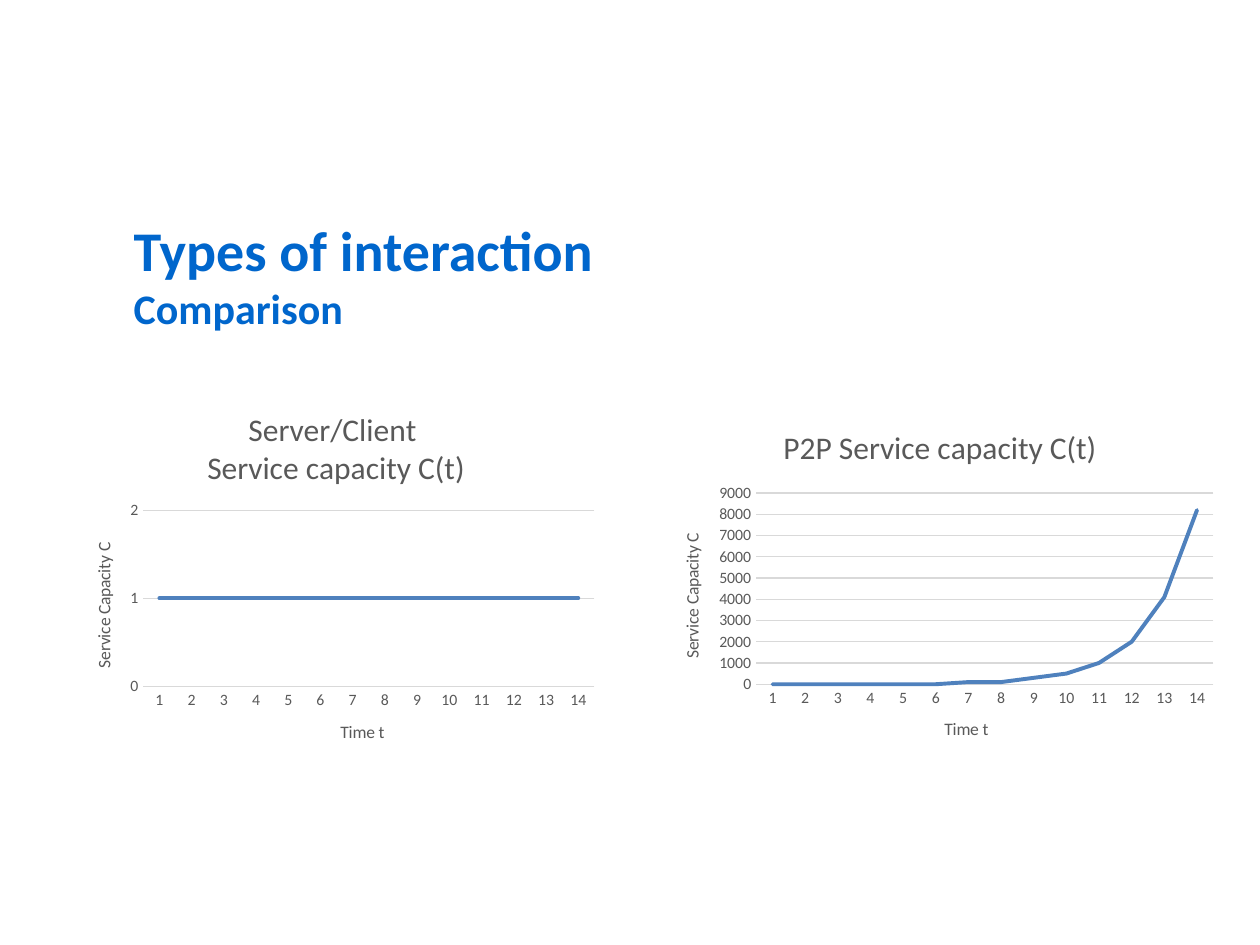
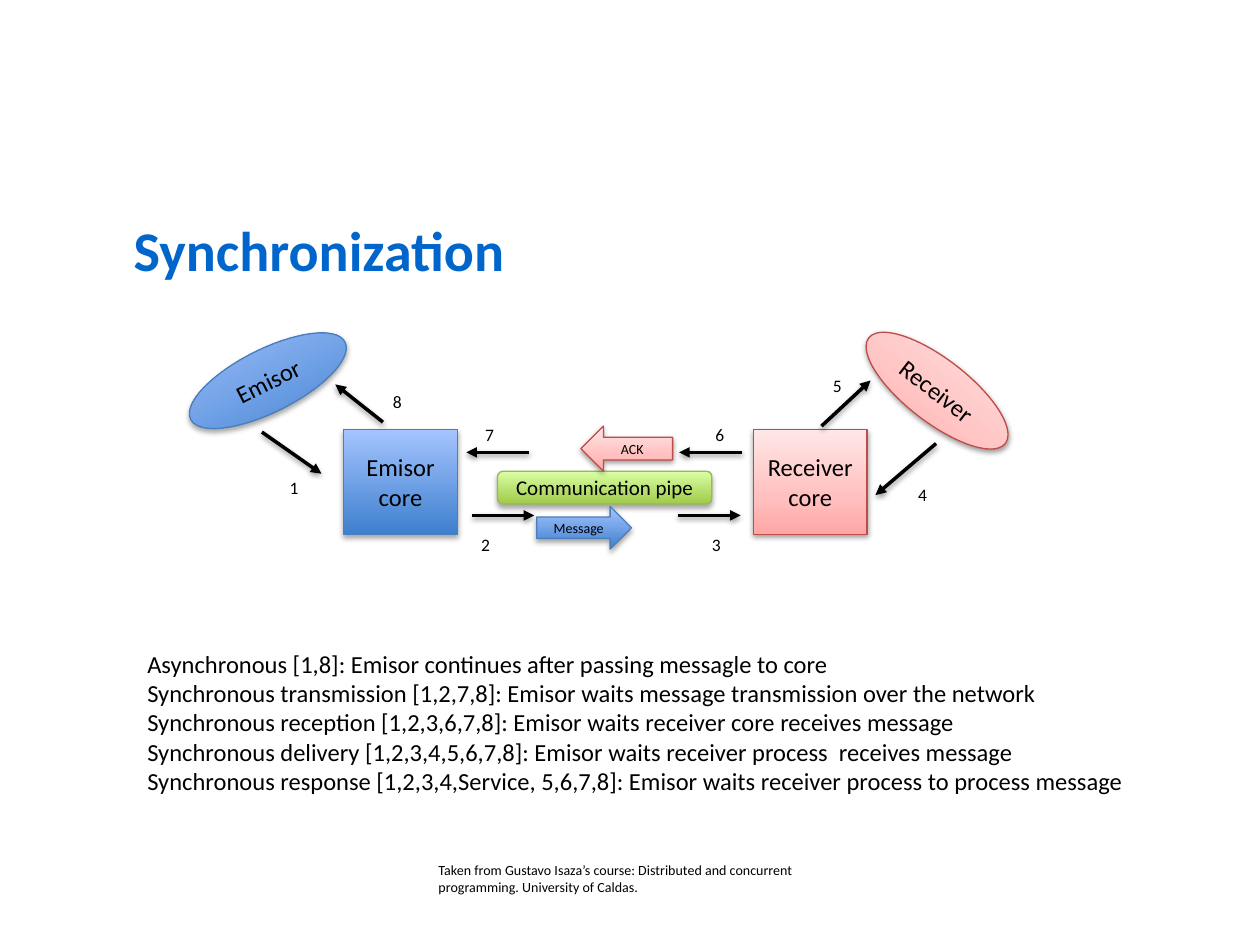
import lxml.etree as etree
import pptx
import pptx.chart.data
import pptx.dml.color
import pptx.enum.chart
import pptx.enum.shapes
import pptx.enum.text
import pptx.oxml.ns
import pptx.util

RGB = pptx.dml.color.RGBColor
Pt = pptx.util.Pt
Cm = pptx.util.Cm
qn = pptx.oxml.ns.qn
SHAPE = pptx.enum.shapes.MSO_SHAPE
ALIGN = pptx.enum.text.PP_ALIGN
ANCHOR = pptx.enum.text.MSO_ANCHOR
GROW = pptx.enum.text.MSO_AUTO_SIZE.SHAPE_TO_FIT_TEXT
NO_TICK = pptx.enum.chart.XL_TICK_MARK.NONE

# Shared look
FONT = "Calibri"
BLACK = RGB(0x00, 0x00, 0x00)
TITLE = RGB(0x00, 0x66, 0xCC)
GREY = RGB(0x59, 0x59, 0x59)
GRID = RGB(0xD9, 0xD9, 0xD9)
CURVE = RGB(0x4F, 0x81, 0xBD)

# Fill stops (percent, colour) from bottom to top, outline, (shadow opacity, distance)
SOFT = (35, 1.8)
HARD = (38, 1.6)
BLUE = ([(0, RGB(0x3F, 0x80, 0xCE)), (100, RGB(0xA4, 0xC4, 0xFF))],
        RGB(0x4B, 0x7E, 0xBC), SOFT)
GREEN = ([(0, RGB(0xA0, 0xCA, 0x4A)), (100, RGB(0xDA, 0xFF, 0xA5))],
         RGB(0x98, 0xB9, 0x55), SOFT)
RED = ([(0, RGB(0xFF, 0xA6, 0xA5)), (35, RGB(0xFF, 0xC0, 0xBF)),
        (100, RGB(0xFF, 0xE7, 0xE7))], RGB(0xBF, 0x4C, 0x48), HARD)

# Capacity at times 1 to 14
P2P = [0] * 6 + [100, 100, 300, 500, 1000, 2000, 4100, 8200]
SERVER = [1] * 14

MODES = [
    "Asynchronous [1,8]: Emisor continues after passing messagle to core",
    "Synchronous transmission [1,2,7,8]: Emisor waits message transmission over the network",
    "Synchronous reception [1,2,3,6,7,8]: Emisor waits receiver core receives message",
    "Synchronous delivery [1,2,3,4,5,6,7,8]: Emisor waits receiver process  receives message",
    "Synchronous response [1,2,3,4,Service, 5,6,7,8]: Emisor waits receiver process to process message",
]
SOURCE = ("Taken from Gustavo Isaza’s course: Distributed and concurrent "
          "programming. University of Caldas.")

# Steps in order: arrow start, arrow end, corner of the number
STEPS = [
    ((5.28, 8.71), (6.48, 9.55), (5.59, 9.5)),
    ((9.52, 10.39), (10.77, 10.39), (9.45, 10.64)),
    ((13.67, 10.39), (14.93, 10.39), (14.1, 10.64)),
    ((18.87, 8.94), (17.65, 9.98), (18.26, 9.63)),
    ((16.56, 8.59), (17.55, 7.67), (16.54, 7.44)),
    ((14.96, 9.12), (13.69, 9.12), (14.17, 8.43)),
    ((10.67, 9.12), (9.4, 9.12), (9.53, 8.43)),
    ((7.72, 8.51), (6.76, 7.75), (7.67, 7.75)),
]


def cms(*sizes):
    return [Cm(size) for size in sizes]


def write(frame, lines, size, color=BLACK, bold=False, align=None):
    """Write one paragraph per line, starting in the empty first one."""
    for i, line in enumerate(lines):
        par = frame.add_paragraph() if i else frame.paragraphs[0]
        par.alignment = align
        run = par.add_run()
        run.text = line
        font = run.font
        font.name, font.size, font.bold = FONT, Pt(size), bold
        font.color.rgb = color


def tag(parent, name, **attrs):
    return etree.SubElement(parent, qn(name), attrs)


def shade(item, shadow):
    """Drop a shadow straight down; the outline must be set before."""
    alpha, dist = shadow
    drop = tag(tag(item._element.spPr, "a:effectLst"), "a:outerShdw",
               blurRad=str(Pt(3.1)), dist=str(Pt(dist)), dir="5400000",
               rotWithShape="0")
    tag(tag(drop, "a:srgbClr", val="000000"), "a:alpha", val=str(alpha * 1000))


def head(deck, *lines):
    """Add a slide whose title may carry a smaller second line."""
    slide = deck.slides.add_slide(deck.slide_layouts[5])
    title = slide.shapes.title
    height = 2.64 if len(lines) > 1 else 1.63
    title.left, title.top, title.width, title.height = cms(2.44, 4.22, 21.03, height)
    frame = title.text_frame
    frame.vertical_anchor, frame.auto_size = ANCHOR.TOP, GROW
    write(frame, lines, 32, TITLE, True, ALIGN.LEFT)
    for par in frame.paragraphs[1:]:
        par.runs[0].font.size = Pt(24)
    return slide


def note(slide, box, lines, size):
    frame = slide.shapes.add_textbox(*cms(*box)).text_frame
    frame.word_wrap, frame.auto_size = True, GROW
    write(frame, lines, size)


def block(slide, kind, box, text, size, look, turn=0):
    stops, edge, shadow = look
    shape = slide.shapes.add_shape(kind, *cms(*box))
    shape.rotation = turn
    shape.fill.gradient()
    shape.fill.gradient_angle = 90
    ramp = shape._element.spPr.find(".//" + qn("a:gsLst"))
    for stop in list(ramp):
        ramp.remove(stop)
    for place, color in stops:
        tag(tag(ramp, "a:gs", pos=str(place * 1000)), "a:srgbClr", val=str(color))
    shape.line.color.rgb, shape.line.width = edge, Pt(0.75)
    shade(shape, shadow)
    frame = shape.text_frame
    frame.word_wrap, frame.vertical_anchor = True, ANCHOR.MIDDLE
    write(frame, [text], size, align=ALIGN.CENTER)


def arrow(slide, start, end):
    line = slide.shapes.add_connector(
        pptx.enum.shapes.MSO_CONNECTOR.STRAIGHT, *cms(*start, *end))
    line.line.color.rgb, line.line.width = BLACK, Pt(2)
    tag(line.line._get_or_add_ln(), "a:tailEnd", type="triangle")
    shade(line, HARD)


def label(axis, text):
    axis.has_title = True
    write(axis.axis_title.text_frame, [text], 10, GREY)
    axis.major_tick_mark = axis.minor_tick_mark = NO_TICK
    font = axis.tick_labels.font
    font.name, font.size, font.color.rgb = FONT, Pt(9), GREY


def plot(slide, box, title, values):
    data = pptx.chart.data.CategoryChartData()
    data.categories = [str(time) for time in range(1, len(values) + 1)]
    data.add_series("Series 1", values)
    chart = slide.shapes.add_chart(
        pptx.enum.chart.XL_CHART_TYPE.LINE, *cms(*box), data).chart
    chart.has_legend = False
    chart.font.name, chart.font.size, chart.font.color.rgb = FONT, Pt(10), BLACK
    chart.has_title = True
    write(chart.chart_title.text_frame, title, 18, GREY)

    # Axes
    label(chart.category_axis, "Time t")
    base = chart.category_axis.format.line
    base.color.rgb, base.width = GRID, Pt(0.75)
    axis = chart.value_axis
    label(axis, "Service Capacity C")
    axis.axis_title.text_frame._txBody.bodyPr.set("rot", "-5400000")
    axis.minimum_scale = 0
    axis.format.line.fill.background()
    axis.has_major_gridlines = True
    grid = axis.major_gridlines.format.line
    grid.color.rgb, grid.width = GRID, Pt(0.75)

    # Curve
    chart.plots[0].vary_by_categories = False
    curve = chart.plots[0].series[0]
    curve.smooth = False
    curve.format.line.color.rgb, curve.format.line.width = CURVE, Pt(2.25)
    curve.format.line._get_or_add_ln().set("cap", "rnd")
    return chart


def compare(deck):
    slide = head(deck, "Types of interaction", "Comparison")
    plot(slide, (13.21, 8.18, 11.48, 7.26), ["P2P Service capacity C(t)"], P2P)
    flat = plot(slide, (1.35, 7.87, 10.85, 7.62),
                ["Server/Client ", "Service capacity C(t)"], SERVER)
    flat.value_axis.maximum_scale = 2
    flat.value_axis.major_unit = 1


def sync(deck):
    slide = head(deck, "Synchronization")
    note(slide, (8.59, 17.25, 8.76, 0.94), [SOURCE], 8)
    note(slide, (2.72, 12.95, 21.08, 3.25), MODES, 14)

    # Both ends, their cores and the pipe
    oval, core = (3.48, 1.27), (2.29, 2.11)
    block(slide, SHAPE.OVAL, (3.66, 7.04, *oval), "Emisor", 14, BLUE, 333.4)
    block(slide, SHAPE.RECTANGLE, (6.93, 8.66, *core), "Emisor core", 14, BLUE)
    block(slide, SHAPE.FLOWCHART_ALTERNATE_PROCESS, (10.03, 9.5, 4.32, 0.66),
          "Communication pipe", 12, GREEN)
    block(slide, SHAPE.RECTANGLE, (15.19, 8.66, *core), "Receiver core", 14, RED)
    block(slide, SHAPE.OVAL, (17.15, 7.24, *oval), "Receiver", 14, RED, 37.7)
    block(slide, SHAPE.RIGHT_ARROW, (10.82, 10.21, 1.91, 0.86), "Message", 8, BLUE)
    block(slide, SHAPE.LEFT_ARROW, (11.71, 8.59, 1.85, 0.91), "ACK", 8, RED)

    # Numbered steps
    for step, (start, end, spot) in enumerate(STEPS, 1):
        arrow(slide, start, end)
        note(slide, (*spot, 0.66, 0.69), [str(step)], 10)


def main():
    deck = pptx.Presentation()
    deck.slide_width, deck.slide_height = cms(25.4, 19.05)
    compare(deck)
    sync(deck)
    deck.save("out.pptx")


if __name__ == "__main__":
    main()
